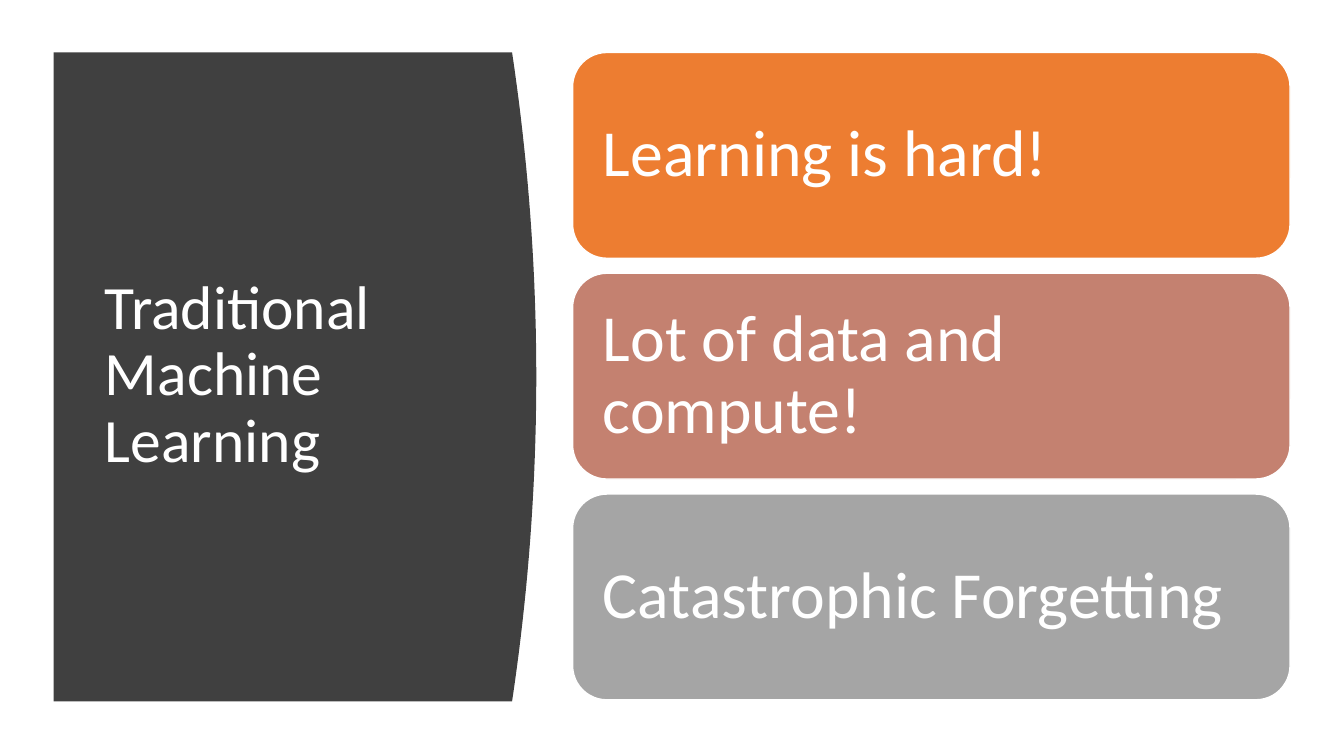
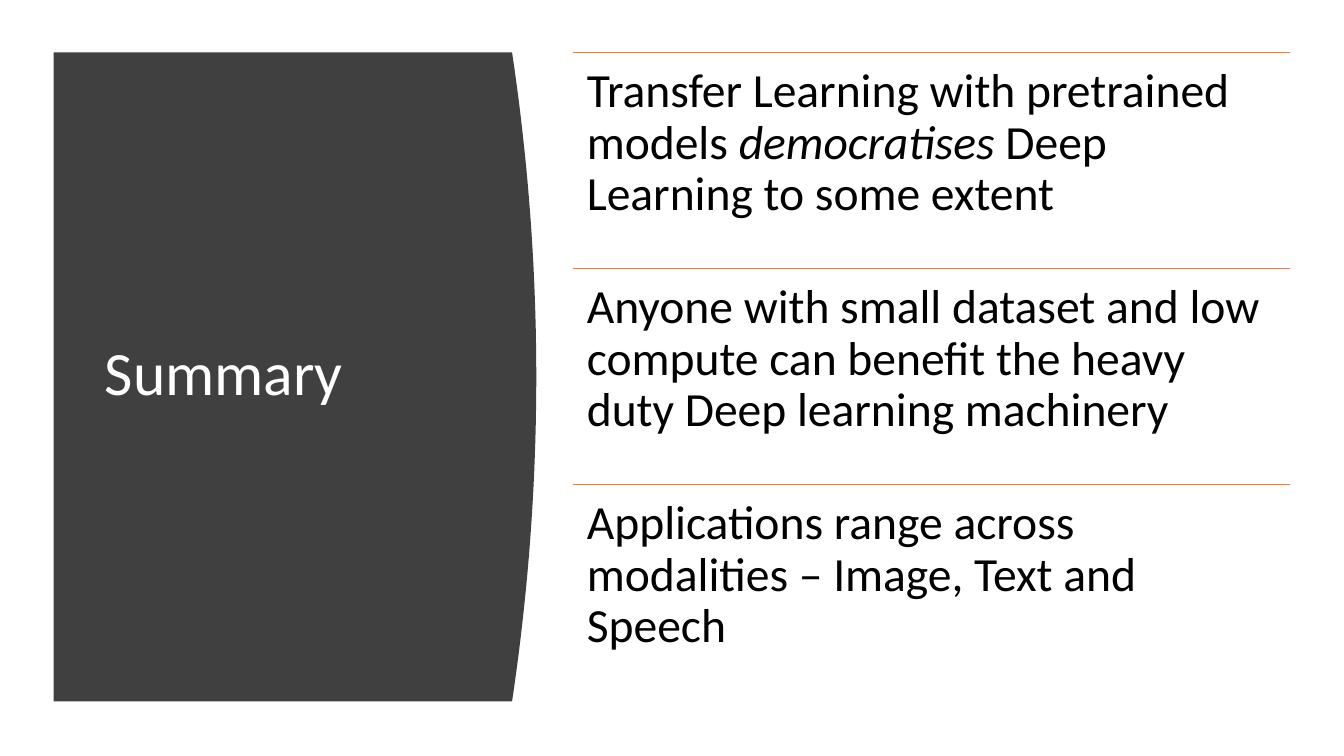
"""Build two slides with a curved title panel beside three statements."""
from lxml import etree
from pptx import Presentation
from pptx.dml.color import RGBColor
from pptx.enum import shapes, text
from pptx.oxml import ns
from pptx.util import Pt

FONT = "Calibri"
WHITE, BLACK, CHARCOAL = "FFFFFF", "000000", "404040"
ORANGE, ROSE, GREY = "ED7D31", "C48170", "A5A5A5"
PANEL_LEFT, PANEL_TOP, PANEL_EDGE, PANEL_HEIGHT = 38.3, 37.4, 365.8, 463.7
BULGE, CURVE_STEPS = 17.3, 40
CONTENT_LEFT, CONTENT_TOP, CONTENT_WIDTH = 409, 37.5, 512.5
BOX_HEIGHT, BOX_PITCH, ROW_HEIGHT = 147, 157.7, 154.2


def color(value):
    return RGBColor.from_string(value)


def write(shape, wording, size, ink, anchor, inset):
    """Write left-aligned text, with italics between asterisks."""
    frame = shape.text_frame
    frame.word_wrap = True
    frame.auto_size = text.MSO_AUTO_SIZE.NONE
    frame.vertical_anchor = anchor
    frame.margin_left = frame.margin_right = Pt(inset)
    frame.margin_top = frame.margin_bottom = Pt(inset)
    paragraph = frame.paragraphs[0]
    paragraph.alignment = text.PP_ALIGN.LEFT
    paragraph.line_spacing = 0.9
    for index, piece in enumerate(wording.split("*")):
        run = paragraph.add_run()
        run.text = piece
        run.font.name = FONT
        run.font.size = Pt(size)
        run.font.italic = index % 2 == 1
        run.font.color.rgb = color(ink)


presentation = Presentation()
presentation.slide_width, presentation.slide_height = Pt(960), Pt(540)

curve = []
for step in range(CURVE_STEPS + 1):
    part = step / CURVE_STEPS
    x = PANEL_EDGE + BULGE * (1 - (2 * part - 1) ** 2)
    curve.append((Pt(x), Pt(PANEL_TOP + part * PANEL_HEIGHT)))
panel_bottom = (Pt(PANEL_LEFT), Pt(PANEL_TOP + PANEL_HEIGHT))

slides = []
for heading in ["Traditional Machine Learning", "Summary"]:
    slide = presentation.slides.add_slide(presentation.slide_layouts[5])
    builder = slide.shapes.build_freeform(Pt(PANEL_LEFT), Pt(PANEL_TOP))
    builder.add_line_segments(curve + [panel_bottom], close=True)
    panel = builder.convert_to_shape()
    panel.shadow.inherit = False
    panel.fill.solid()
    panel.fill.fore_color.rgb = color(CHARCOAL)
    panel.line.fill.background()

    title = slide.shapes.title
    title.left, title.top, title.width, title.height = Pt(67.7), Pt(80), Pt(269), Pt(377)
    write(title, heading, 44, WHITE, text.MSO_ANCHOR.MIDDLE, 7.2)
    title.element.addprevious(panel.element)
    slides.append(slide)

challenge_slide, summary_slide = slides

challenges = [
    ("Learning is hard!", ORANGE),
    ("Lot of data and compute!", ROSE),
    ("Catastrophic Forgetting", GREY),
]
for index, (challenge, fill) in enumerate(challenges):
    box = challenge_slide.shapes.add_shape(
        shapes.MSO_SHAPE.ROUNDED_RECTANGLE,
        Pt(CONTENT_LEFT), Pt(CONTENT_TOP + index * BOX_PITCH), Pt(CONTENT_WIDTH), Pt(BOX_HEIGHT))
    box.shadow.inherit = False
    box.fill.solid()
    box.fill.fore_color.rgb = color(fill)
    box.line.color.rgb = color(WHITE)
    box.line.width = Pt(1)
    write(box, challenge, 47, WHITE, text.MSO_ANCHOR.MIDDLE, 14.4)

conclusions = [
    "Transfer Learning with pretrained models *democratises *Deep Learning to some extent",
    "Anyone with small dataset and low compute can benefit the heavy duty Deep learning machinery",
    "Applications range across modalities – Image, Text and Speech",
]
for index, conclusion in enumerate(conclusions):
    top = Pt(CONTENT_TOP + index * ROW_HEIGHT)
    rule = summary_slide.shapes.add_connector(
        shapes.MSO_CONNECTOR.STRAIGHT,
        Pt(CONTENT_LEFT), top, Pt(CONTENT_LEFT + CONTENT_WIDTH), top)
    rule.line.color.rgb = color(ORANGE)
    rule.line.width = Pt(1)
    etree.SubElement(rule.element.spPr, ns.qn("a:effectLst"))
    row = summary_slide.shapes.add_textbox(
        Pt(CONTENT_LEFT), top, Pt(CONTENT_WIDTH), Pt(ROW_HEIGHT))
    write(row, conclusion, 34, BLACK, text.MSO_ANCHOR.TOP, 10.2)

presentation.save("out.pptx")
